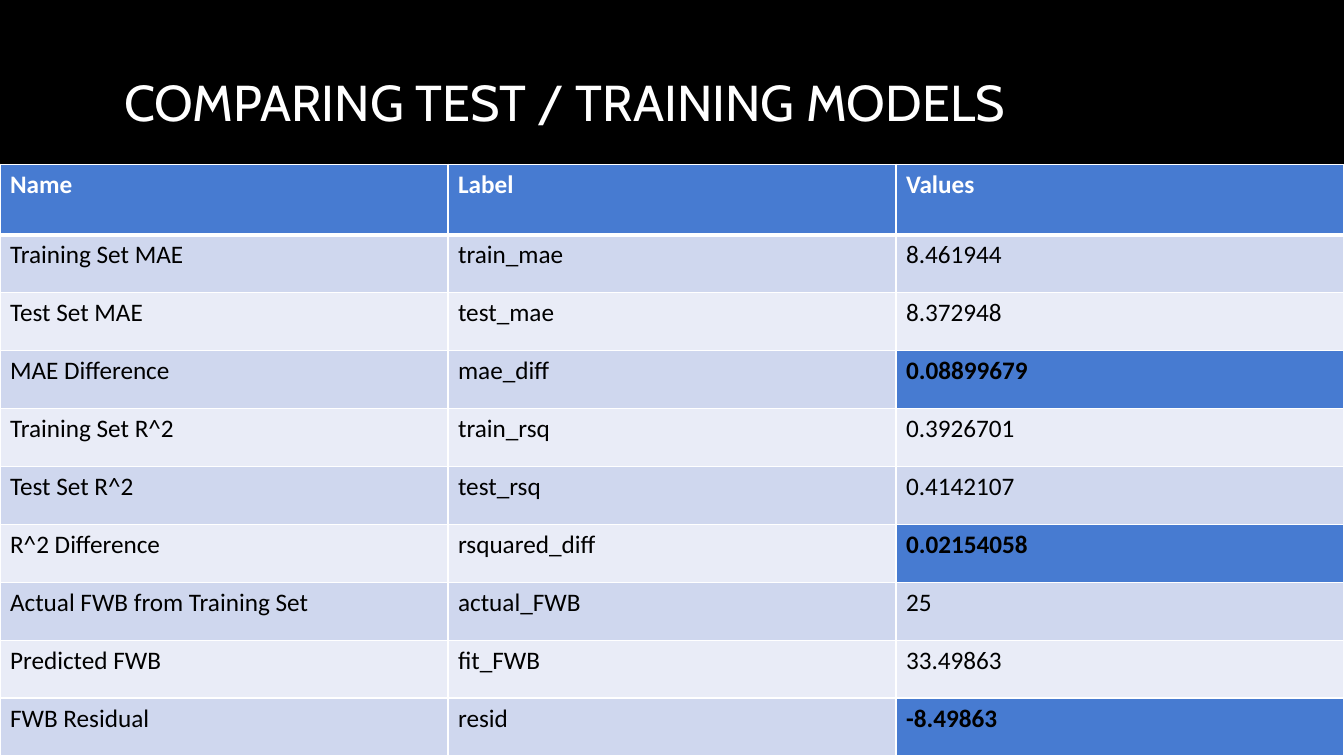
import pptx
import pptx.dml.color
import pptx.enum.text
import pptx.oxml.ns
import pptx.util
from lxml import etree
from pptx.util import Inches

COLORS = {
    "background": "000000",
    "white": "FFFFFF",
    "text": "000000",
    "accent": "477BD1",
    "odd_row": "CFD7EE",
    "even_row": "E9ECF7",
}

HEADER = ("Name", "Label", "Values")
METRICS = [
    ("Training Set MAE", "train_mae", "8.461944"),
    ("Test Set MAE", "test_mae", "8.372948"),
    ("MAE Difference", "mae_diff", "0.08899679"),
    ("Training Set R^2", "train_rsq", "0.3926701"),
    ("Test Set R^2", "test_rsq", "0.4142107"),
    ("R^2 Difference", "rsquared_diff", "0.02154058"),
    ("Actual FWB from Training Set", "actual_FWB", "25"),
    ("Predicted FWB", "fit_FWB", "33.49863"),
    ("FWB Residual", "resid", "-8.49863"),
]
HIGHLIGHTED = {"mae_diff", "rsquared_diff", "resid"}

SLIDE_WIDTH = 13.33
TABLE_TOP, TABLE_HEIGHT = 1.63, 5.87
HEADER_HEIGHT = 0.7


def rgb(name):
    return pptx.dml.color.RGBColor.from_string(COLORS[name])


def add_run(p, text, font, size, color, bold=False):
    r = p.add_run()
    r.text = text
    r.font.name = font
    r.font.size = pptx.util.Pt(size)
    r.font.color.rgb = rgb(color)
    r.font.bold = bold


def set_borders(cell, bottom):
    """Draw white 1 pt borders, with the bottom one of the given width."""
    tcPr = cell._tc.get_or_add_tcPr()
    qn = pptx.oxml.ns.qn
    for side, width in (("L", 1), ("R", 1), ("T", 1), ("B", bottom)):
        ln = etree.SubElement(tcPr, qn(f"a:ln{side}"), w=str(pptx.util.Pt(width)))
        fill = etree.SubElement(ln, qn("a:solidFill"))
        etree.SubElement(fill, qn("a:srgbClr"), val=COLORS["white"])


def fill_cell(cell, text, fill, color="text", bold=False, bottom=1):
    set_borders(cell, bottom)
    cell.fill.solid()
    cell.fill.fore_color.rgb = rgb(fill)
    add_run(cell.text_frame.paragraphs[0], text, "Calibri", 18, color, bold)


def add_title(s, text):
    title = s.shapes.title
    title.left, title.top = Inches(1.13), Inches(0.25)
    title.width, title.height = Inches(11.08), Inches(1.59)
    tf = title.text_frame
    tf.word_wrap = True
    tf.auto_size = pptx.enum.text.MSO_AUTO_SIZE.NONE
    tf.vertical_anchor = pptx.enum.text.MSO_ANCHOR.MIDDLE
    p = tf.paragraphs[0]
    p.alignment = pptx.enum.text.PP_ALIGN.LEFT
    p.line_spacing = 0.9
    add_run(p, text, "Cabin", 36, "white")


def add_metrics_table(s):
    frame = s.shapes.add_table(
        len(METRICS) + 1, len(HEADER), Inches(0), Inches(TABLE_TOP),
        Inches(SLIDE_WIDTH), Inches(TABLE_HEIGHT))
    table = frame.table
    for column in table.columns:
        column.width = Inches(SLIDE_WIDTH / len(HEADER))
    for row in table.rows:
        row.height = Inches((TABLE_HEIGHT - HEADER_HEIGHT) / len(METRICS))
    table.rows[0].height = Inches(HEADER_HEIGHT)

    for col, text in enumerate(HEADER):
        fill_cell(table.cell(0, col), text, "accent", "white", bold=True, bottom=3)
    for row, metric in enumerate(METRICS, start=1):
        band = "odd_row" if row % 2 else "even_row"
        name, label, value = metric
        strong = label in HIGHLIGHTED
        fill_cell(table.cell(row, 0), name, band)
        fill_cell(table.cell(row, 1), label, band)
        fill_cell(table.cell(row, 2), value, "accent" if strong else band, bold=strong)


def main():
    prs = pptx.Presentation()
    prs.slide_width, prs.slide_height = Inches(SLIDE_WIDTH), Inches(7.5)
    s = prs.slides.add_slide(prs.slide_layouts[5])
    s.background.fill.solid()
    s.background.fill.fore_color.rgb = rgb("background")
    add_title(s, "COMPARING TEST / TRAINING MODELS")
    add_metrics_table(s)
    prs.save("out.pptx")


if __name__ == "__main__":
    main()
